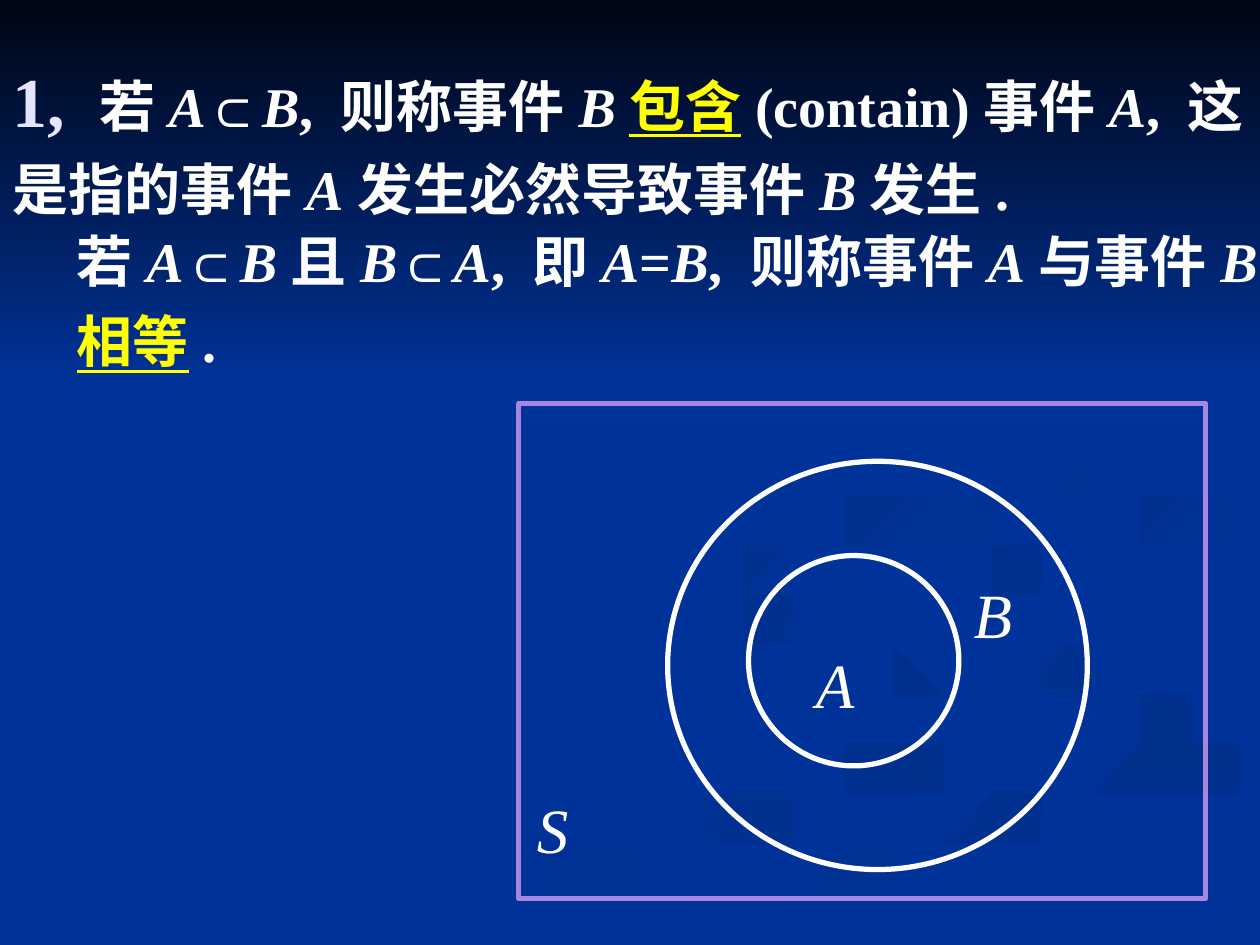
from itertools import groupby
from math import hypot

from pptx import Presentation
from pptx.dml.color import RGBColor
from pptx.enum.shapes import MSO_SHAPE as Shape
from pptx.enum.text import MSO_ANCHOR as Anchor, MSO_AUTO_SIZE as AutoSize, PP_ALIGN as Align
from pptx.util import Cm, Pt

FONT = "Times New Roman"
BLUE = RGBColor(0x00, 0x33, 0x99)
NIGHT = RGBColor(0x00, 0x05, 0x14)
SHADE = RGBColor(0x00, 0x2F, 0x8C)
WHITE = RGBColor(0xFF, 0xFF, 0xFF)
YELLOW = RGBColor(0xFF, 0xFF, 0x00)
LAVENDER = RGBColor(0xE5, 0xE5, 0xFF)
PURPLE = RGBColor(0xA8, 0x86, 0xE0)

# Gradient angles run counter-clockwise.
RIGHTWARD, DIAGONAL, DOWNWARD = 0, 315, 270

# Each ribbon is a curve through a few knots: (x, y, ribbon width) in cm.
LOWER_CURL = [(14.6, 11.8, 0.1), (15.5, 12.6, 0.15), (18, 13.4, 0.05), (19.9, 14.1, 0.2),
              (20.1, 14.7, 0.4), (19.3, 15.2, 0.55), (16.5, 16, 0.65), (12.7, 17.2, 0.8),
              (9, 18.5, 1)]
RIGHT_CURL = [(18.4, 11.8, 0), (19.3, 12.8, 0.2), (21.6, 13.5, 0.35), (23.4, 14.2, 0.5),
              (23.6, 14.7, 0.6), (22.7, 15.4, 0)]
TAIL = [(25.2, 15.1, 0.7), (21.8, 16, 0.5), (17.8, 17.3, 0.5), (13.9, 18.6, 0.7)]
EDGE_CURL = [(25.2, 10.4, 0.45), (22.4, 10.9, 0.5), (20.2, 11.6, 0.5), (21, 12.6, 0)]
UPPER_CURL = [(19.4, 5.9, 0), (21.8, 7.3, 0.1), (22.6, 8.5, 0.15), (21.8, 9.6, 0.35),
              (19.3, 10.4, 0.45), (16.5, 10.9, 0.5), (14.9, 11.7, 0.4), (15.8, 12.7, 0)]
RIBBONS = [
    (LOWER_CURL, BLUE, SHADE, RIGHTWARD),
    (RIGHT_CURL, BLUE, SHADE, DIAGONAL),
    (TAIL, SHADE, BLUE, DOWNWARD),
    (EDGE_CURL, SHADE, BLUE, DIAGONAL),
    (UPPER_CURL, SHADE, BLUE, DIAGONAL),
]


def smooth(knots, steps=8):
    """Return points on the Catmull-Rom curve through the knots."""
    padded = [knots[0], *knots, knots[-1]]
    points = []
    for window in zip(padded, padded[1:], padded[2:], padded[3:]):
        for step in range(steps):
            t = step / steps
            points.append([
                b + t * (c - a) / 2 + t**2 * (2*a - 5*b + 4*c - d) / 2
                + t**3 * (3*b - a - 3*c + d) / 2
                for a, b, c, d in zip(*window)])
    return points + [knots[-1]]


def ribbon_outline(knots):
    """Go along one side of the curve and back along the other."""
    curve = smooth(knots)
    left, right = [], []
    for before, (x, y, width), after in zip(curve[:1] + curve, curve, curve[1:] + curve[-1:]):
        dx, dy = after[0] - before[0], after[1] - before[1]
        half = max(width, 0) / 2 / hypot(dx, dy)
        left.append((x - dy * half, y + dx * half))
        right.append((x + dy * half, y - dx * half))
    return left + right[::-1]


def fill_gradient(shape, first, last, angle):
    shape.shadow.inherit = False
    shape.line.fill.background()
    shape.fill.gradient()
    shape.fill.gradient_angle = angle
    for stop, color in zip(shape.fill.gradient_stops, (first, last)):
        stop.color.rgb = color


def add_ribbon(slide, knots, first, last, angle):
    start, *rest = ribbon_outline(knots)
    builder = slide.shapes.build_freeform(*start, scale=Cm(1))
    builder.add_line_segments(rest, close=True)
    fill_gradient(builder.convert_to_shape(), first, last, angle)


def add_outline(slide, kind, box, color):
    shape = slide.shapes.add_shape(kind, *map(Cm, box))
    shape.shadow.inherit = False
    shape.fill.background()
    shape.line.color.rgb = color
    shape.line.width = Pt(3)


def add_run(paragraph, text, size=32, color=WHITE, bold=True, italic=False, underline=None):
    run = paragraph.add_run()
    run.text = text
    font = run.font
    font.name, font.size, font.color.rgb = FONT, Pt(size), color
    font.bold, font.italic, font.underline = bold, italic, underline


def add_statement(slide, box, *pieces):
    """Add a paragraph of (text, format) pieces, with event letters in italics."""
    frame = slide.shapes.add_textbox(*map(Cm, box)).text_frame
    frame.word_wrap = True
    frame.vertical_anchor = Anchor.MIDDLE
    paragraph = frame.paragraphs[0]
    paragraph.line_spacing = 1.2
    for text, style in pieces:
        for is_event, letters in groupby(text, lambda letter: letter in "AB"):
            add_run(paragraph, "".join(letters), italic=is_event, **style)


def add_set_label(slide, text, box):
    frame = slide.shapes.add_textbox(*map(Cm, box)).text_frame
    frame.word_wrap = False
    frame.auto_size = AutoSize.SHAPE_TO_FIT_TEXT
    frame.paragraphs[0].alignment = Align.CENTER
    add_run(frame.paragraphs[0], text, size=36, bold=False, italic=True)


def add_backdrop(slide):
    slide.background.fill.solid()
    slide.background.fill.fore_color.rgb = BLUE
    for ribbon in RIBBONS:
        add_ribbon(slide, *ribbon)
    sky = slide.shapes.add_shape(Shape.RECTANGLE, 0, 0, Cm(25.4), Cm(7.82))
    fill_gradient(sky, NIGHT, BLUE, DOWNWARD)


def add_venn_diagram(slide):
    add_set_label(slide, "B", (19.38, 11.48, 1.27, 1.78))
    add_outline(slide, Shape.RECTANGLE, (10.46, 8.13, 13.84, 9.98), PURPLE)
    add_outline(slide, Shape.OVAL, (13.46, 9.3, 8.46, 8.23), WHITE)
    add_outline(slide, Shape.OVAL, (15.09, 11.2, 4.24, 4.24), WHITE)
    add_set_label(slide, "S", (10.57, 15.82, 1.14, 1.78))
    add_set_label(slide, "A", (16.2, 12.88, 1.27, 1.78))


def main():
    presentation = Presentation()
    presentation.slide_width, presentation.slide_height = Cm(25.4), Cm(19.05)
    slide = presentation.slides.add_slide(presentation.slide_layouts[6])
    key_term = {"color": YELLOW, "underline": True}

    add_backdrop(slide)
    add_statement(
        slide, (0, 0.36, 25.4, 4.57),
        ("1, ", {"size": 40, "color": LAVENDER}),
        ("若A⊂B, 则称事件B", {}),
        ("包含", key_term),
        ("(contain)事件A, 这是指的事件A发生必然导致事件B发生.", {}))
    add_venn_diagram(slide)
    add_statement(
        slide, (1.3, 4.72, 25.4, 2.39),
        ("若A⊂B且B⊂A, 即A=B, 则称事件A与事件B", {}),
        ("相等", key_term),
        (".", {}))
    presentation.save("out.pptx")


if __name__ == "__main__":
    main()
